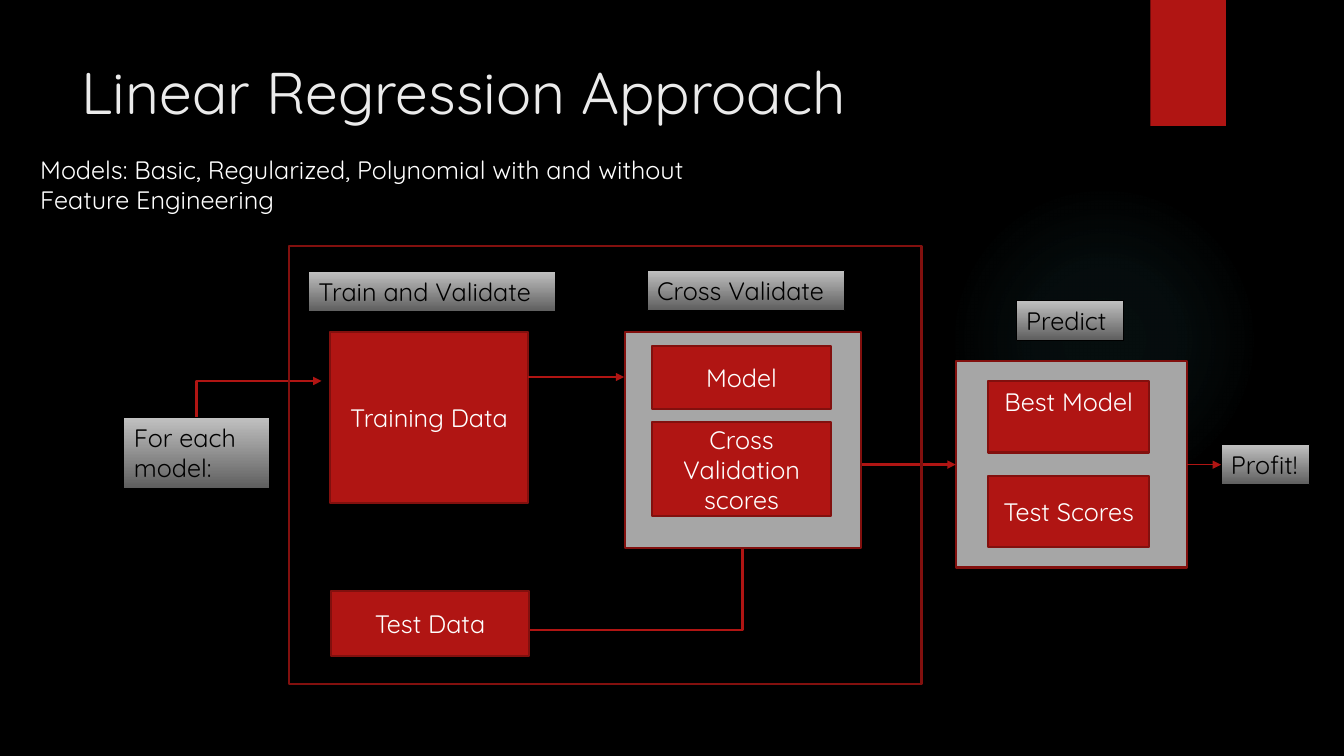
from pptx import Presentation
from pptx.dml.color import RGBColor
from pptx.enum.shapes import MSO_CONNECTOR, MSO_SHAPE
from pptx.enum.text import MSO_ANCHOR, MSO_AUTO_SIZE, PP_ALIGN
from pptx.oxml import parse_xml
from pptx.oxml.ns import nsdecls, qn
from pptx.util import Inches, Pt

RECTANGLE, OVAL = MSO_SHAPE.RECTANGLE, MSO_SHAPE.OVAL
STRAIGHT, ELBOW = MSO_CONNECTOR.STRAIGHT, MSO_CONNECTOR.ELBOW
TOP, MIDDLE = MSO_ANCHOR.TOP, MSO_ANCHOR.MIDDLE
LEFT, CENTER = PP_ALIGN.LEFT, PP_ALIGN.CENTER
FIT_SHAPE, NO_FIT = MSO_AUTO_SIZE.SHAPE_TO_FIT_TEXT, MSO_AUTO_SIZE.NONE

FONT = "Quicksand"
COLORS = {
    "black": "000000", "white": "FFFFFF", "title": "EBEBEB",
    "red": "B01513", "dark_red": "82100E", "gray": "A6A6A6",
    "label_top": "C1C1C1", "label_bottom": "5E5E5E", "glow": "50B9C1",
}


def rgb(name):
    return RGBColor.from_string(COLORS[name])


class FlowPage:
    def __init__(self, deck):
        self.page = deck.slides.add_slide(deck.slide_layouts[5])
        self.page.background.fill.solid()
        self.page.background.fill.fore_color.rgb = rgb("black")

    def set_text(self, frame, text, color, size=18, align=LEFT, anchor=TOP):
        frame.word_wrap = True
        frame.vertical_anchor = anchor
        frame.text = text
        para = frame.paragraphs[0]
        para.alignment = align
        for span in para.runs:
            span.font.name = FONT
            span.font.size = Pt(size)
            span.font.color.rgb = rgb(color)

    def title(self, place, text):
        box = self.page.shapes.title
        box.left, box.top, box.width, box.height = map(Inches, place)
        self.set_text(box.text_frame, text, "title", 42)
        box.text_frame.auto_size = NO_FIT

    def note(self, place, text):
        box = self.page.shapes.add_textbox(*map(Inches, place))
        self.set_text(box.text_frame, text, "white")

    def shape(self, place, fill=None, line=None, width=1.5, kind=RECTANGLE):
        box = self.page.shapes.add_shape(kind, *map(Inches, place))
        box.shadow.inherit = False
        if fill:
            box.fill.solid()
            box.fill.fore_color.rgb = rgb(fill)
        else:
            box.fill.background()
        if line:
            box.line.color.rgb = rgb(line)
            box.line.width = Pt(width)
        else:
            box.line.fill.background()
        return box

    def block(self, place, text, anchor=MIDDLE):
        box = self.shape(place, "red", "dark_red")
        self.set_text(box.text_frame, text, "white", align=CENTER, anchor=anchor)

    def label(self, place, text, wrap=False):
        box = self.shape(place, line="black", width=0.75)
        box.fill.gradient()
        box.fill.gradient_angle = 270
        for stop, name in zip(box.fill.gradient_stops, ("label_top", "label_bottom")):
            stop.color.rgb = rgb(name)
        self.set_text(box.text_frame, text, "black")
        box.text_frame.word_wrap = wrap
        box.text_frame.auto_size = FIT_SHAPE

    def glow(self, place):
        """Add a soft round light that fades outwards."""
        properties = self.shape(place, kind=OVAL)._element.spPr
        stops = "".join(
            f'<a:gs pos="{position}000"><a:srgbClr val="{COLORS["glow"]}">'
            f'<a:alpha val="{alpha}000"/></a:srgbClr></a:gs>'
            for position, alpha in ((0, 7), (36, 6), (69, 0)))
        gradient = parse_xml(
            f'<a:gradFill {nsdecls("a")}><a:gsLst>{stops}</a:gsLst><a:path path="circle">'
            '<a:fillToRect l="50000" t="50000" r="50000" b="50000"/></a:path></a:gradFill>')
        properties.replace(properties.find(qn("a:noFill")), gradient)

    def arrow(self, start, end, width, kind=STRAIGHT):
        link = self.page.shapes.add_connector(kind, *map(Inches, start + end))
        link.line.color.rgb = rgb("red")
        link.line.width = Pt(width)
        properties = link._element.spPr
        properties.find(qn("a:ln")).append(
            parse_xml(f'<a:tailEnd {nsdecls("a")} type="triangle"/>'))
        properties.append(parse_xml(f'<a:effectLst {nsdecls("a")}/>'))
        return link

    def corner_arrow(self, start, end, width):
        """Go up from start, then right to end: one bend, turned by 90 degrees."""
        (x1, y1), (x2, y2) = start, end
        middle_x, middle_y = (x1 + x2) / 2, (y1 + y2) / 2
        half_x, half_y = (y1 - y2) / 2, (x2 - x1) / 2
        link = self.arrow((middle_x + half_x, middle_y + half_y),
                          (middle_x - half_x, middle_y - half_y), width, ELBOW)
        properties = link._element.spPr
        properties.find(qn("a:prstGeom")).set("prst", "bentConnector2")
        properties.find(qn("a:xfrm")).set("rot", "5400000")


def main():
    deck = Presentation()
    deck.slide_width, deck.slide_height = Inches(13.33), Inches(7.5)
    flow = FlowPage(deck)

    flow.glow((9.41, 1.83, 3.08, 3.08))
    flow.shape((11.41, 0, 0.75, 1.25), "red")
    flow.title((0.71, 0.5, 10.29, 1.53), "Linear Regression Approach")
    flow.note((0.3, 1.48, 6.98, 0.71),
              "Models: Basic, Regularized, Polynomial with and without Feature Engineering")

    flow.shape((9.48, 3.58, 2.29, 2.05), "gray", "dark_red")
    flow.arrow((5.25, 6.25), (9.48, 4.61), 2, ELBOW)
    flow.shape((6.2, 3.29, 2.34, 2.15), "gray", "dark_red")

    flow.block((3.27, 3.29, 1.97, 1.7), "Training Data")
    flow.block((3.28, 5.86, 1.97, 0.65), "Test Data")
    flow.block((6.47, 3.43, 1.77, 0.63), "Model")
    flow.block((6.47, 4.19, 1.77, 0.93), "Cross Validation scores")
    flow.block((9.8, 3.78, 1.6, 0.71), "Best Model", TOP)
    flow.block((9.8, 4.72, 1.6, 0.71), "Test Scores")

    flow.label((3.06, 2.69, 2.45, 0.4), "Train and Validate")
    flow.label((6.42, 2.68, 1.96, 0.4), "Cross Validate")
    flow.label((10.08, 2.98, 1.06, 0.4), "Predict")
    flow.label((1.23, 4.14, 1.44, 0.71), "For each model:", wrap=True)
    flow.label((12.11, 4.41, 0.88, 0.4), "Profit!")

    flow.corner_arrow((1.95, 4.14), (3.19, 3.78), 2)
    flow.shape((2.87, 2.44, 6.27, 4.35), line="dark_red")
    flow.arrow((5.24, 3.74), (6.19, 3.74), 1.5)
    flow.arrow((11.77, 4.61), (12.11, 4.61), 0.75)

    deck.save("out.pptx")


if __name__ == "__main__":
    main()
